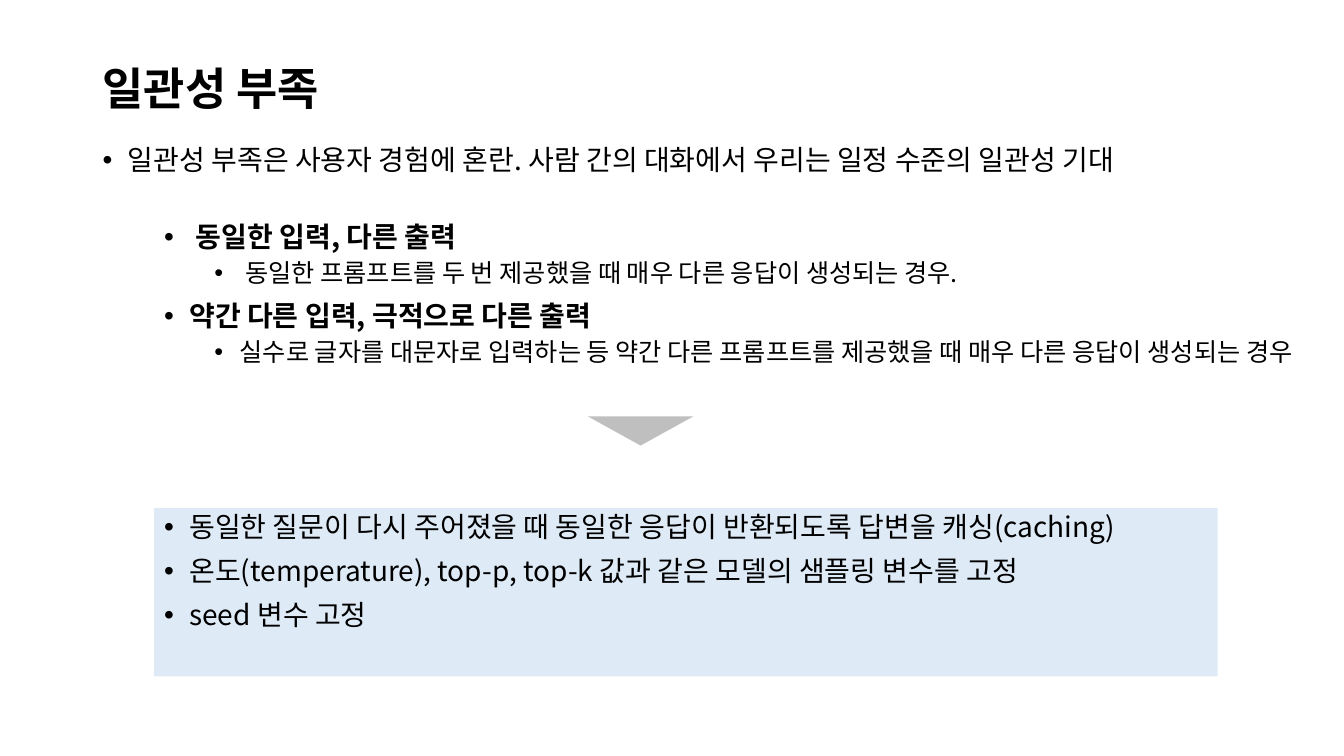
"""Builds a slide on inconsistent model answers and their remedies."""
from pptx import Presentation
from pptx import util as u
from pptx.dml.color import RGBColor
from pptx.enum import shapes, text
from pptx.oxml.ns import qn
from lxml import etree

FONT = "Noto Sans CJK KR"
HUES = {"ink": "000000", "panel": "DEEBF7", "arrow": "BFBFBF"}
TITLE = "일관성 부족"
INTRO = [("일관성 부족은 사용자 경험에 혼란. 사람 간의 대화에서 우리는 일정 수준의 일관성 기대", 0, False)]
CASES = [
    (" 동일한 입력, 다른 출력", 0, True),
    (" 동일한 프롬프트를 두 번 제공했을 때 매우 다른 응답이 생성되는 경우.", 1, False),
    ("약간 다른 입력, 극적으로 다른 출력", 0, True),
    ("실수로 글자를 대문자로 입력하는 등 약간 다른 프롬프트를 제공했을 때 매우 다른 응답이 생성되는 경우", 1, False),
]
FIXES = [
    ("동일한 질문이 다시 주어졌을 때 동일한 응답이 반환되도록 답변을 캐싱(caching)", 0, False),
    ("온도(temperature), top-p, top-k 값과 같은 모델의 샘플링 변수를 고정", 0, False),
    ("seed 변수 고정", 0, False),
]
SIZES, GAPS = (20, 18), (10, 5)
LEFT, INNER, WIDE = 66.24, 110.16, 828


def color(name):
    return RGBColor.from_string(HUES[name])


def style(para, size, bold):
    para.line_spacing = 0.9
    para.alignment = text.PP_ALIGN.LEFT
    for run in para.runs:
        font = run.font
        font.size, font.bold, font.name = u.Pt(size), bold, FONT
        font.color.rgb = color("ink")
        etree.SubElement(font._element, qn("a:ea"), typeface=FONT)


def bullet(para, level):
    props = para._p.get_or_add_pPr()
    props.set("marL", str(u.Pt(18 + 36 * level)))
    props.set("indent", str(u.Pt(-18)))
    etree.SubElement(props, qn("a:buFont"), typeface="Arial")
    etree.SubElement(props, qn("a:buChar"), char="•")


def fill_list(shape, items):
    frame = shape.text_frame
    frame.word_wrap = True
    frame.vertical_anchor = text.MSO_ANCHOR.TOP
    frame.text = "\n".join(item[0] for item in items)
    for para, (_, level, bold) in zip(frame.paragraphs, items):
        para.level = level
        para.space_before = u.Pt(GAPS[level])
        style(para, SIZES[level], bold)
        bullet(para, level)


def add_box(slide, *box):
    return slide.shapes.add_textbox(*map(u.Pt, box))


def add_form(slide, kind, hue, *box):
    shape = slide.shapes.add_shape(kind, *map(u.Pt, box))
    shape.shadow.inherit = False
    shape.fill.solid()
    shape.fill.fore_color.rgb = color(hue)
    shape.line.fill.background()
    return shape


def main():
    deck = Presentation()
    deck.slide_width, deck.slide_height = u.Pt(960), u.Pt(540)
    slide = deck.slides.add_slide(deck.slide_layouts[6])

    title = add_box(slide, LEFT, 28.8, WIDE, 72).text_frame
    title.word_wrap = True
    title.vertical_anchor = text.MSO_ANCHOR.MIDDLE
    title.text = TITLE
    style(title.paragraphs[0], 32, True)

    fill_list(add_box(slide, INNER, 156.24, WIDE, 177.12), CASES)
    fill_list(add_box(slide, LEFT, 100.8, WIDE, 177.12), INTRO)
    kinds = shapes.MSO_SHAPE
    panel = add_form(slide, kinds.RECTANGLE, "panel", INNER, 362.88, 759.6, 120.24)
    fill_list(panel, FIXES)
    arrow = add_form(slide, kinds.ISOSCELES_TRIANGLE, "arrow", 419.76, 297.36, 75.6, 20.88)
    arrow.rotation = 180
    deck.save("out.pptx")


if __name__ == "__main__":
    main()
